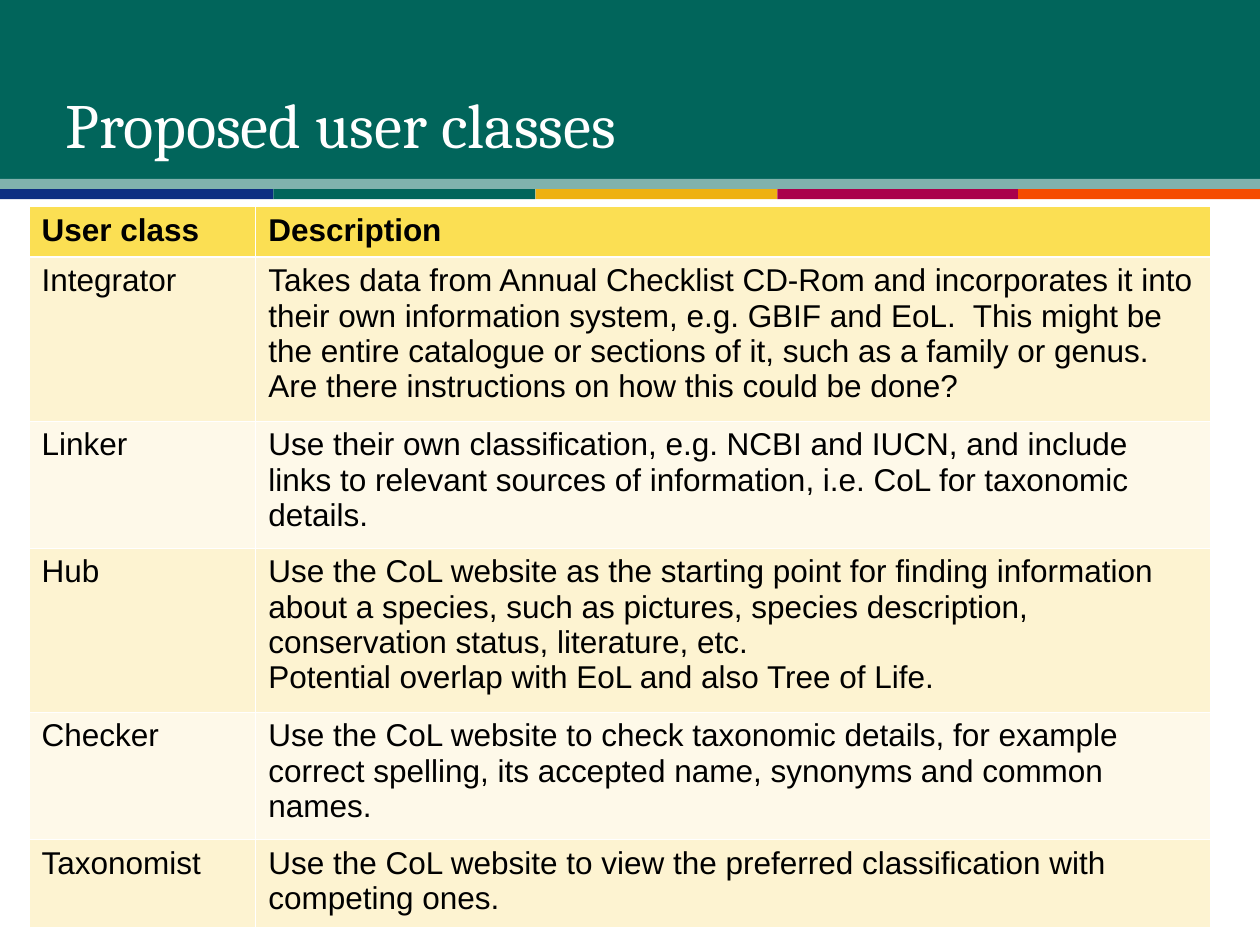
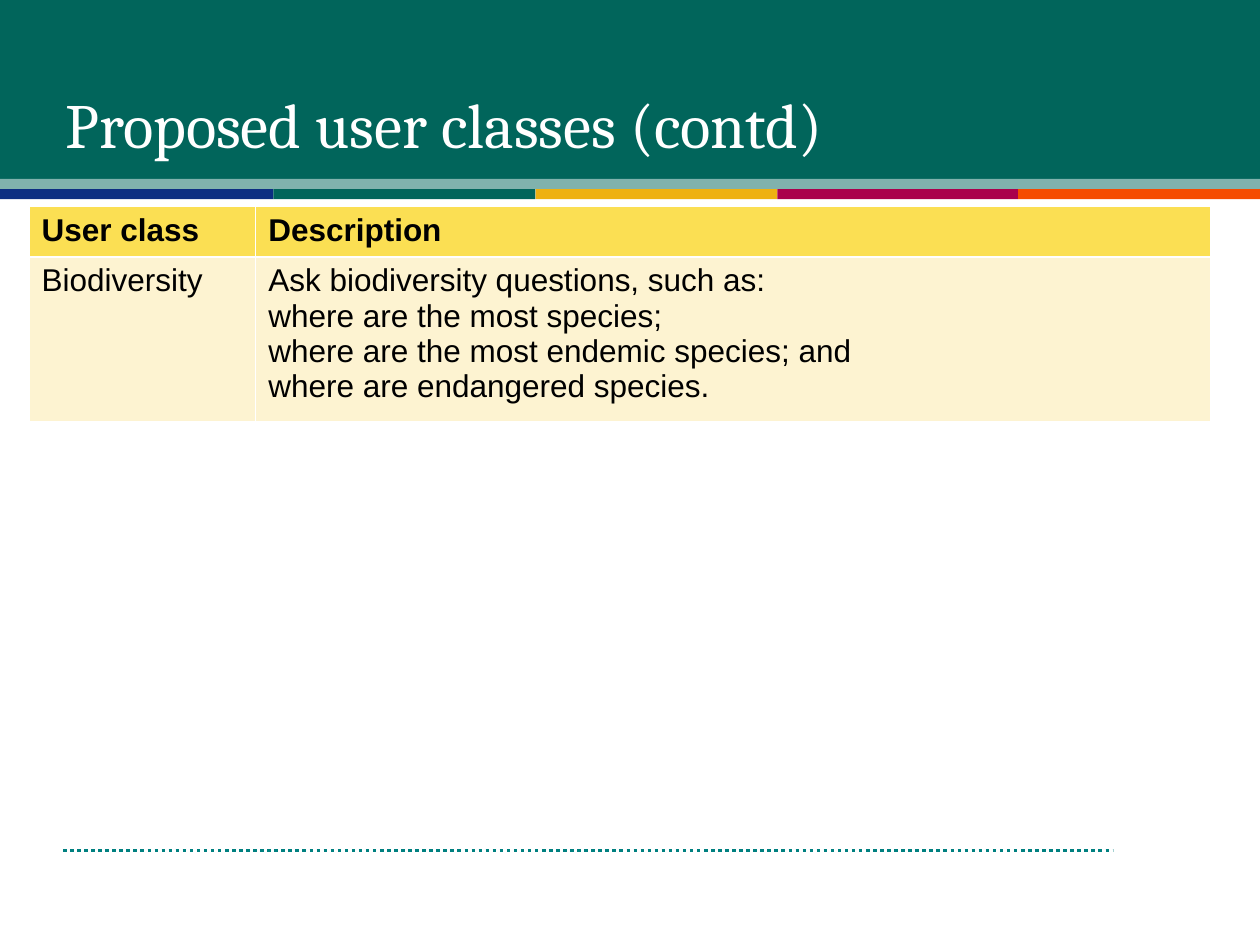
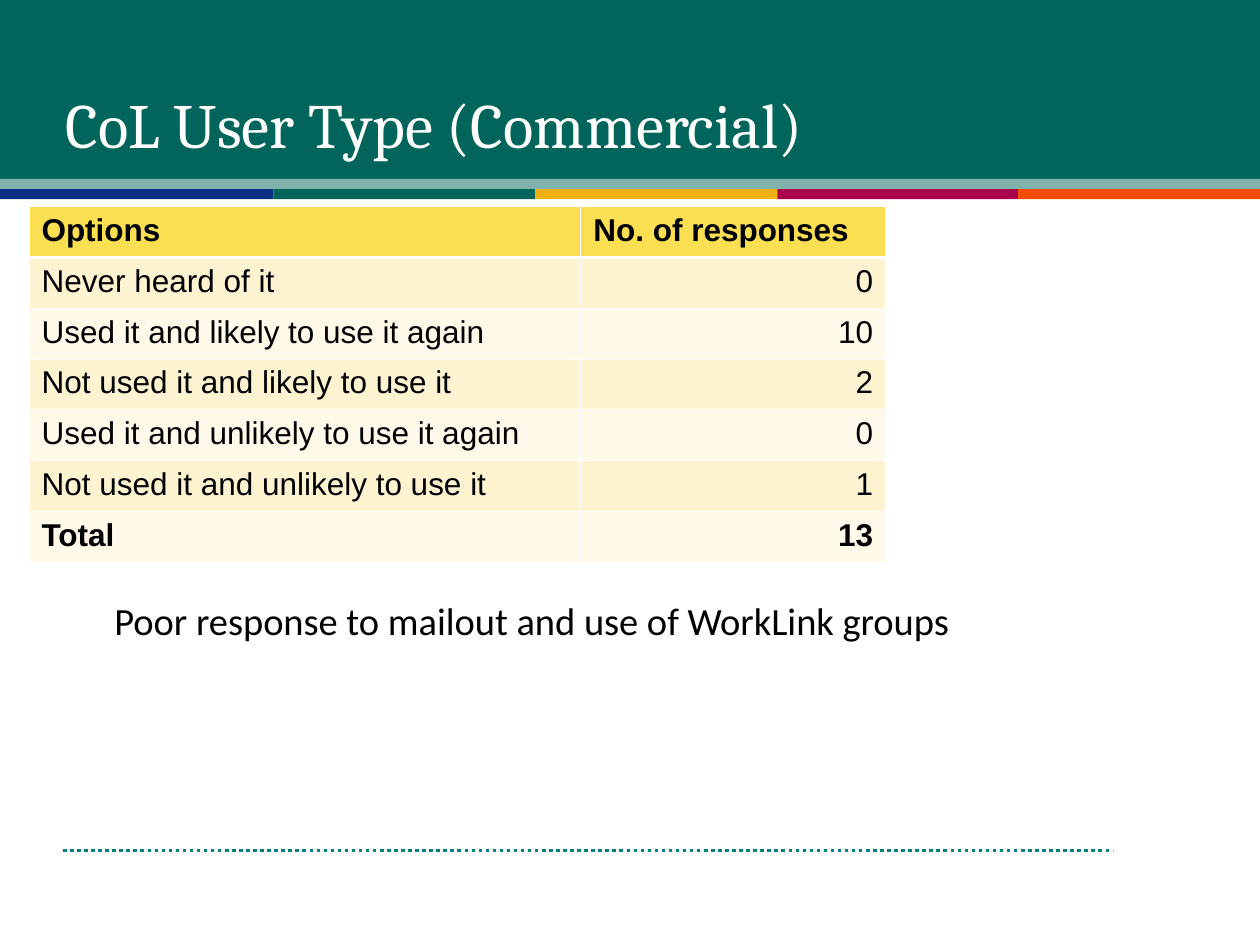
"""Build three slides on the user classes and user types of a species catalogue."""
from itertools import accumulate

from lxml.etree import SubElement
from pptx import Presentation
from pptx.dml.color import RGBColor
from pptx.enum.dml import MSO_LINE
from pptx.enum.shapes import MSO_CONNECTOR, MSO_SHAPE
from pptx.enum.text import MSO_ANCHOR, MSO_AUTO_SIZE, PP_ALIGN
from pptx.oxml.ns import qn
from pptx.util import Inches, Pt

COLORS = {
    "green": "01655B", "sage": "80B2AD", "blue": "0C2E82", "gold": "EEB111",
    "crimson": "AA014C", "orange": "F54C00", "teal": "008080",
    "header": "FBDF53", "odd_row": "FDF3D1", "even_row": "FEF9E9",
    "white": "FFFFFF", "black": "000000",
}
STRIPES = [("blue", 2.17), ("green", 2.08), ("gold", 1.92), ("crimson", 1.91), ("orange", 1.92)]
THIN, THICK = 0.45, 1.47


def rgb(name):
    return RGBColor.from_string(COLORS[name])


def write(tf, text, font="Arial", size=18, color="black", bold=False, align=PP_ALIGN.LEFT):
    tf.word_wrap = True
    for i, line in enumerate(text.split("\n")):
        p = tf.paragraphs[0] if i == 0 else tf.add_paragraph()
        p.alignment = align
        r = p.add_run()
        r.text = line
        r.font.name, r.font.size, r.font.bold = font, Pt(size), bold
        r.font.color.rgb = rgb(color)


def set_borders(cell, **widths):
    tc_pr = cell._tc.get_or_add_tcPr()
    for i, side in enumerate(("L", "R", "T", "B")):
        ln = tc_pr.makeelement(qn(f"a:ln{side}"), {"w": str(Pt(widths.get(side, THIN)))})
        fill = SubElement(ln, qn("a:solidFill"))
        SubElement(fill, qn("a:srgbClr"), val=COLORS["white"])
        tc_pr.insert(i, ln)


class Deck:
    def __init__(self):
        self.prs = Presentation()
        self.prs.slide_width, self.prs.slide_height = Inches(10), Inches(7.5)
        self.s = None

    def slide(self, title):
        self.s = self.prs.slides.add_slide(self.prs.slide_layouts[5])
        self.band(0, 0, 10, 1.42, "green")
        self.band(0, 1.42, 10, 0.08, "sage")
        ends = accumulate(width for _, width in STRIPES)
        for (color, width), end in zip(STRIPES, ends):
            self.band(end - width, 1.5, width, 0.08, color)
        self.title(title)

    def band(self, x, y, w, h, color):
        sp = self.s.shapes.add_shape(MSO_SHAPE.RECTANGLE, Inches(x), Inches(y), Inches(w), Inches(h))
        sp.shadow.inherit = False
        sp.fill.solid()
        sp.fill.fore_color.rgb = rgb(color)
        sp.line.fill.background()

    def title(self, text):
        sp = self.s.shapes.title
        sp.left, sp.top, sp.width, sp.height = Inches(0.42), Inches(0.33), Inches(9), Inches(1.29)
        sp.element.getparent().append(sp.element)
        tf = sp.text_frame
        tf.auto_size, tf.vertical_anchor = MSO_AUTO_SIZE.NONE, MSO_ANCHOR.MIDDLE
        write(tf, text, font="Cambria", size=36, color="white")

    def footer_line(self):
        y = Inches(6.75)
        line = self.s.shapes.add_connector(MSO_CONNECTOR.STRAIGHT, Inches(0.5), y, Inches(8.83), y)
        line.line.color.rgb, line.line.width = rgb("teal"), Pt(2)
        line.line.dash_style = MSO_LINE.ROUND_DOT
        SubElement(line.element.spPr, qn("a:effectLst"))

    def table(self, rows, widths, heights, numeric=False, total=False):
        frame = self.s.shapes.add_table(len(rows), len(widths), Inches(0.23), Inches(1.64),
                                        Inches(sum(widths)), Inches(sum(heights)))
        table = frame.table
        for column, width in zip(table.columns, widths):
            column.width = Inches(width)
        for i, (values, height) in enumerate(zip(rows, heights)):
            table.rows[i].height = Inches(height)
            color = "header" if i == 0 else "odd_row" if i % 2 else "even_row"
            bold = i == 0 or (total and i == len(rows) - 1)
            for j, value in enumerate(values):
                cell = table.cell(i, j)
                cell.fill.solid()
                cell.fill.fore_color.rgb = rgb(color)
                set_borders(cell, T=THICK if i == 1 else THIN, B=THICK if i == 0 else THIN)
                right = numeric and i > 0 and j > 0
                write(cell.text_frame, value, bold=bold,
                      align=PP_ALIGN.RIGHT if right else PP_ALIGN.LEFT)

    def note(self, text, x, y, w, h):
        sp = self.s.shapes.add_textbox(Inches(x), Inches(y), Inches(w), Inches(h))
        write(sp.text_frame, text, font="Calibri", size=22)
        p_pr = sp.text_frame.paragraphs[0]._p.get_or_add_pPr()
        p_pr.set("marL", str(Inches(0.81)))
        p_pr.set("indent", str(Inches(-0.31)))


def main():
    deck = Deck()
    class_header = ("User class", "Description")
    class_widths = (1.8, 7.58)

    deck.slide("Proposed user classes")
    deck.table([
        class_header,
        ("Integrator", "Takes data from Annual Checklist CD-Rom and incorporates it into their own "
         "information system, e.g. GBIF and EoL.  This might be the entire catalogue or sections "
         "of it, such as a family or genus.\nAre there instructions on how this could be done?"),
        ("Linker", "Use their own classification, e.g. NCBI and IUCN, and include links to "
         "relevant sources of information, i.e. CoL for taxonomic details."),
        ("Hub", "Use the CoL website as the starting point for finding information about a "
         "species, such as pictures, species description, conservation status, literature, etc.\n"
         "Potential overlap with EoL and also Tree of Life."),
        ("Checker", "Use the CoL website to check taxonomic details, for example correct "
         "spelling, its accepted name, synonyms and common names."),
        ("Taxonomist", "Use the CoL website to view the preferred classification with "
         "competing ones."),
    ], class_widths, (0.4, 1.3, 1.01, 1.3, 1.01, 0.7))

    deck.slide("Proposed user classes (contd)")
    deck.footer_line()
    deck.table([
        class_header,
        ("Biodiversity", "Ask biodiversity questions, such as:\nwhere are the most species;\n"
         "where are the most endemic species; and\nwhere are endangered species."),
    ], class_widths, (0.4, 1.3))

    deck.slide("CoL User Type (Commercial)")
    deck.footer_line()
    responses = [
        ("Options", "No. of responses"),
        ("Never heard of it", "0"),
        ("Used it and likely to use it again", "10"),
        ("Not used it and likely to use it", "2"),
        ("Used it and unlikely to use it again", "0"),
        ("Not used it and unlikely to use it", "1"),
        ("Total", "13"),
    ]
    deck.table(responses, (4.38, 2.42), [2.82 / len(responses)] * len(responses),
               numeric=True, total=True)
    deck.note("Poor response to mailout and use of WorkLink groups", 0.31, 4.69, 7.87, 1.02)

    deck.prs.save("out.pptx")


if __name__ == "__main__":
    main()
